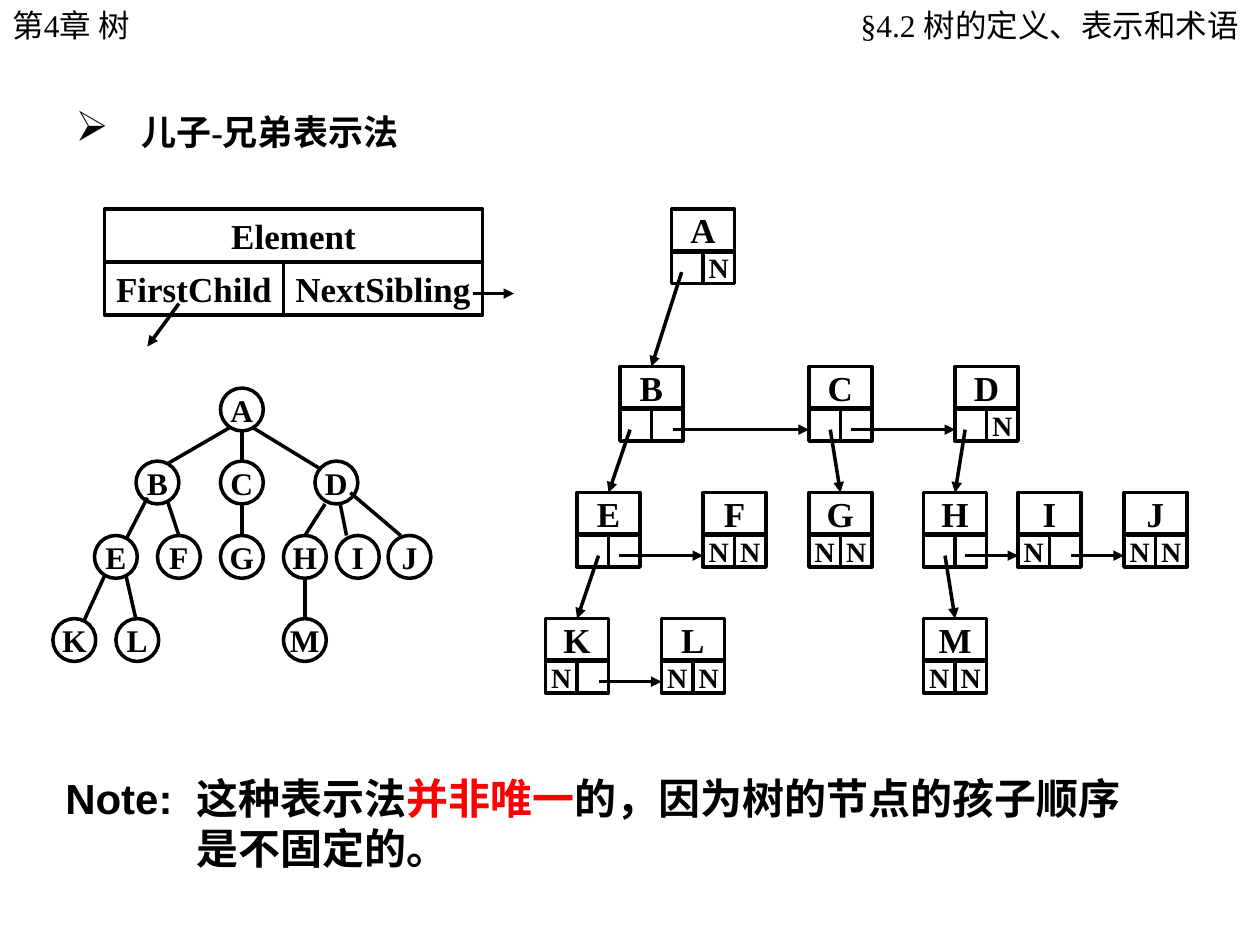
from dataclasses import dataclass
from typing import NamedTuple

from lxml.etree import SubElement
from pptx import Presentation
from pptx.dml.color import RGBColor
from pptx.enum.shapes import MSO_CONNECTOR, MSO_SHAPE
from pptx.enum.text import MSO_ANCHOR, MSO_AUTO_SIZE, PP_ALIGN
from pptx.oxml.ns import qn
from pptx.util import Inches, Pt


@dataclass(frozen=True)
class Theme:
    ink: RGBColor = RGBColor(0, 0, 0)
    alert: RGBColor = RGBColor(255, 0, 0)
    serif: str = "Times New Roman"
    sans: str = "Arial"
    note: int = 24
    label: int = 20
    small: int = 18
    tiny: int = 16
    line: int = 2


class Box(NamedTuple):
    x: float
    y: float
    w: float
    h: float


class Card(NamedTuple):
    """A linked node: child and next name its targets, down and right place the arrow tails."""
    x: float
    y: float
    child: str = ""
    next: str = ""
    down: float = 0
    right: float = 0


THEME = Theme()
SIDE = 0.34
ROWS = (3.08, 3.66, 4.25, 4.91)
TREE = (
    {"A": 1.75},
    {"B": 1.08, "C": 1.75, "D": 2.5},
    {"E": 0.75, "F": 1.25, "G": 1.75, "H": 2.25, "I": 2.67, "J": 3.08},
    {"K": 0.42, "L": 0.92, "M": 2.25},
)
EDGES = (
    (1.92, 3.41, 1.92, 3.66), (1.83, 3.39, 1.33, 3.68), (2, 3.39, 2.54, 3.72),
    (1.92, 4, 1.92, 4.25), (1.17, 3.95, 1, 4.28), (1.33, 3.98, 1.42, 4.25),
    (2.58, 4, 2.42, 4.25), (2.7, 4, 2.75, 4.25), (2.78, 3.91, 3.18, 4.25),
    (0.83, 4.57, 0.67, 4.92), (1, 4.57, 1.08, 4.92), (2.42, 4.58, 2.42, 4.91),
)
CARDS = {
    "A": Card(5.33, 1.66, child="B", down=0.08),
    "B": Card(4.92, 2.91, "E", "C", 0.08, 0.42),
    "C": Card(6.42, 2.91, "G", "D", 0.17, 0.33),
    "D": Card(7.58, 2.91, child="H", down=0.08),
    "E": Card(4.58, 3.91, "K", "F", 0.17, 0.33),
    "F": Card(5.58, 3.91),
    "G": Card(6.42, 3.91),
    "H": Card(7.33, 3.91, "M", "I", 0.17, 0.33),
    "I": Card(8.08, 3.91, next="J", right=0.42),
    "J": Card(8.92, 3.91),
    "K": Card(4.33, 4.91, next="L", right=0.42),
    "L": Card(5.25, 4.91),
    "M": Card(7.33, 4.91),
}
RECORD = {
    "FirstChild": Box(0.83, 2.08, 1.42, 0.42),
    "NextSibling": Box(2.25, 2.08, 1.58, 0.42),
    "Element": Box(0.83, 1.66, 3, 0.42),
}


def style(para, size: int, face: str = THEME.serif, bold: bool = True) -> None:
    font = para.font
    font.name, font.size, font.bold = face, Pt(size), bold
    font.color.rgb = THEME.ink


def hang(para, left: float) -> None:
    """Give the paragraph a hanging indent."""
    props = para._p.get_or_add_pPr()
    props.set("marL", str(Inches(left)))
    props.set("indent", str(-Inches(left)))


def place(shape, box: Box) -> None:
    shape.left, shape.top, shape.width, shape.height = map(Inches, box)


def draw(slide, kind: MSO_SHAPE, box: Box, text: str, size: int):
    shape = slide.shapes.add_shape(kind, *map(Inches, box))
    shape.shadow.inherit = False
    shape.fill.background()
    shape.line.color.rgb = THEME.ink
    shape.line.width = Pt(THEME.line)
    if text:
        frame = shape.text_frame
        frame.word_wrap = False
        frame.vertical_anchor = MSO_ANCHOR.MIDDLE
        para = frame.paragraphs[0]
        para.text = text
        para.alignment = PP_ALIGN.CENTER
        style(para, size)
    return shape


def link(slide, ends: tuple, arrow: bool = False, target=None) -> None:
    """Draw a line, joined to the top of target if there is one."""
    line = slide.shapes.add_connector(MSO_CONNECTOR.STRAIGHT, *map(Inches, ends))
    if target is not None:
        line.end_connect(target, 0)
    line.line.color.rgb = THEME.ink
    line.line.width = Pt(THEME.line)
    if arrow:
        SubElement(line.line._get_or_add_ln(), qn("a:tailEnd"), type="triangle")
    SubElement(line._element.spPr, qn("a:effectLst"))


def write(slide, box: Box, text: str = ""):
    shape = slide.shapes.add_textbox(*map(Inches, box))
    frame = shape.text_frame
    frame.word_wrap = True
    frame.auto_size = MSO_AUTO_SIZE.SHAPE_TO_FIT_TEXT
    para = frame.paragraphs[0]
    para.text = text
    return frame, para


def add_title(slide) -> None:
    title = slide.shapes.title
    place(title, Box(0.5, 0.83, 5.5, 0.5))
    frame = title.text_frame
    frame.vertical_anchor = MSO_ANCHOR.TOP
    frame.auto_size = MSO_AUTO_SIZE.SHAPE_TO_FIT_TEXT
    para = frame.paragraphs[0]
    para.text = "儿子-兄弟表示法"
    para.alignment = PP_ALIGN.LEFT
    hang(para, 0.52)
    SubElement(para._p.pPr, qn("a:buSzPct"), val="120000")
    SubElement(para._p.pPr, qn("a:buChar"), char="➢")
    style(para, THEME.label)


def add_record(slide) -> None:
    for text, box in RECORD.items():
        draw(slide, MSO_SHAPE.RECTANGLE, box, text, THEME.label)
    link(slide, (1.42, 2.41, 1.17, 2.75), True)
    link(slide, (3.75, 2.33, 4.08, 2.33), True)


def add_tree(slide) -> None:
    for y, row in zip(ROWS, TREE):
        for name, x in row.items():
            draw(slide, MSO_SHAPE.OVAL, Box(x, y, SIDE, SIDE), name, THEME.small)
    for edge in EDGES:
        link(slide, edge)


def add_cards(slide) -> None:
    heads = {}
    for name, card in CARDS.items():
        for i, goal in enumerate((card.child, card.next)):
            cell = Box(card.x + i * 0.25, card.y + 0.34, 0.25, 0.25)
            draw(slide, MSO_SHAPE.RECTANGLE, cell, "" if goal else "N", THEME.tiny)
        head = Box(card.x, card.y, 0.5, 0.33)
        heads[name] = draw(slide, MSO_SHAPE.RECTANGLE, head, name, THEME.label)
    for card in CARDS.values():
        y = card.y + 0.5
        if card.child:
            goal = CARDS[card.child]
            ends = (card.x + card.down, y, goal.x + 0.25, goal.y)
            link(slide, ends, True, heads[card.child])
        if card.next:
            link(slide, (card.x + card.right, y, CARDS[card.next].x, y), True)


def add_note(slide) -> None:
    _, para = write(slide, Box(0.42, 6.08, 8.67, 0.91))
    hang(para, 1.04)
    style(para, THEME.note, THEME.sans)
    for text, color in (
        ("Note:\t这种表示法", THEME.ink),
        ("并非唯一", THEME.alert),
        ("的，因为树的节点的孩子顺序是不固定的。", THEME.ink),
    ):
        run = para.add_run()
        run.text = text
        run.font.color.rgb = color


def add_header(slide) -> None:
    _, left = write(slide, Box(0, 0, 2.09, 0.4), "第4章 树")
    style(left, THEME.small, bold=False)
    frame, right = write(slide, Box(6.18, 0, 3.81, 0.4), "§4.2 树的定义、表示和术语")
    frame.margin_left, frame.margin_right = Inches(0.12), Inches(0.16)
    right.alignment = PP_ALIGN.RIGHT
    style(right, THEME.small, bold=False)


def main() -> None:
    deck = Presentation()
    deck.slide_width, deck.slide_height = Inches(10), Inches(7.5)
    slide = deck.slides.add_slide(deck.slide_layouts[5])
    for part in (add_title, add_record, add_tree, add_cards, add_note, add_header):
        part(slide)
    deck.save("out.pptx")


if __name__ == "__main__":
    main()
